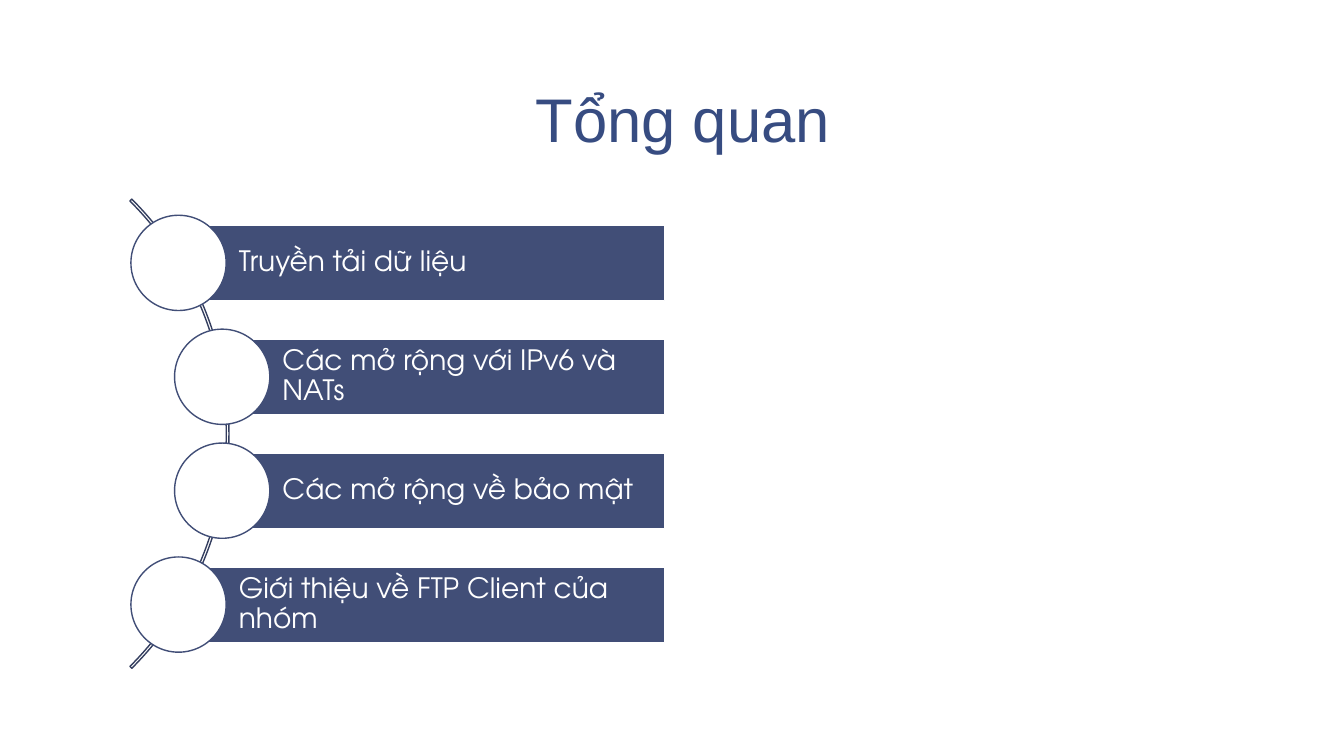
from dataclasses import dataclass

from pptx import Presentation
from pptx.dml.color import RGBColor
from pptx.enum.shapes import MSO_SHAPE
from pptx.enum.text import MSO_ANCHOR, MSO_AUTO_SIZE, PP_ALIGN
from pptx.shapes.autoshape import Shape
from pptx.slide import Slide
from pptx.util import Cm, Pt


@dataclass(frozen=True)
class Theme:
    white: RGBColor = RGBColor(0xFF, 0xFF, 0xFF)
    title: RGBColor = RGBColor(0x37, 0x4C, 0x81)
    bar: RGBColor = RGBColor(0x41, 0x4E, 0x77)
    arc: RGBColor = RGBColor(0x34, 0x3E, 0x5F)
    title_font: str = "Arial"
    topic_font: str = "TeX Gyre Adventor"
    title_size: Pt = Pt(44)
    topic_size: Pt = Pt(20)
    outline: Pt = Pt(1)


@dataclass(frozen=True)
class Topic:
    label: str
    center_x: float  # centimetres


THEME = Theme()
OUTER_X, INNER_X = 4.5, 5.6
TOPICS = [
    Topic("Truyền tải dữ liệu", OUTER_X),
    Topic("Các mở rộng với IPv6 và NATs", INNER_X),
    Topic("Các mở rộng về bảo mật", INNER_X),
    Topic("Giới thiệu về FTP Client của nhóm", OUTER_X),
]

# Diagram measures in centimetres
MIDDLE_Y, PITCH = 10.93, 2.87
BAR_RIGHT, BAR_HEIGHT = 16.75, 1.9
CIRCLE_SIZE = 2.4
ARC_LEFT, ARC_SIZE = -10.95, 16.72


def apply_format(target: object, values: dict[str, object]) -> None:
    for name, value in values.items():
        setattr(target, name, value)


def add_outlined(slide: Slide, kind: MSO_SHAPE, left: float, top: float,
                 width: float, height: float, line: RGBColor,
                 fill: RGBColor | None = None) -> Shape:
    shape = slide.shapes.add_shape(kind, Cm(left), Cm(top), Cm(width), Cm(height))
    shape.shadow.inherit = False
    if fill is None:
        shape.fill.background()
    else:
        shape.fill.solid()
        shape.fill.fore_color.rgb = fill
    shape.line.color.rgb = line
    shape.line.width = THEME.outline
    return shape


def write_text(shape: Shape, text: str, frame: dict[str, object],
               paragraph: dict[str, object], font: dict[str, object],
               color: RGBColor) -> None:
    apply_format(shape.text_frame, {"word_wrap": True,
                                    "auto_size": MSO_AUTO_SIZE.NONE, **frame})
    line = shape.text_frame.paragraphs[0]
    apply_format(line, paragraph)
    run = line.add_run()
    run.text = text
    apply_format(run.font, font)
    run.font.color.rgb = color


def add_title(slide: Slide, text: str) -> None:
    title = slide.shapes.title
    apply_format(title, {"left": Cm(3.1), "top": Cm(0.2),
                         "width": Cm(28.22), "height": Cm(3.89)})
    write_text(title, text,
               {"vertical_anchor": MSO_ANCHOR.BOTTOM,
                "margin_left": Cm(0.33), "margin_right": Cm(0.33),
                "margin_top": Cm(0.18), "margin_bottom": Cm(0.18)},
               {"alignment": PP_ALIGN.CENTER, "line_spacing": 0.85},
               {"name": THEME.title_font, "size": THEME.title_size}, THEME.title)


def add_arc(slide: Slide) -> None:
    arc = add_outlined(slide, MSO_SHAPE.BLOCK_ARC, ARC_LEFT, MIDDLE_Y - ARC_SIZE / 2,
                       ARC_SIZE, ARC_SIZE, THEME.arc)
    # Start angle, end angle and relative thickness
    for index, value in enumerate((189, 27, 0.004)):
        arc.adjustments[index] = value


def add_topic(slide: Slide, topic: Topic, center_y: float) -> None:
    bar = add_outlined(slide, MSO_SHAPE.RECTANGLE, topic.center_x,
                       center_y - BAR_HEIGHT / 2, BAR_RIGHT - topic.center_x,
                       BAR_HEIGHT, THEME.white, THEME.bar)
    write_text(bar, topic.label,
               {"vertical_anchor": MSO_ANCHOR.MIDDLE,
                "margin_left": Cm(1.52), "margin_right": Cm(0.15),
                "margin_top": Cm(0.15), "margin_bottom": Cm(0.15)},
               {"alignment": PP_ALIGN.LEFT, "line_spacing": 0.9},
               {"name": THEME.topic_font, "size": THEME.topic_size}, THEME.white)
    add_outlined(slide, MSO_SHAPE.OVAL, topic.center_x - CIRCLE_SIZE / 2,
                 center_y - CIRCLE_SIZE / 2, CIRCLE_SIZE, CIRCLE_SIZE,
                 THEME.bar, THEME.white)


# Slide and background
deck = Presentation()
apply_format(deck, {"slide_width": Cm(33.87), "slide_height": Cm(19.05)})
overview = deck.slides.add_slide(deck.slide_layouts.get_by_name("Title Only"))
overview.background.fill.solid()
overview.background.fill.fore_color.rgb = THEME.white

# Title
add_title(overview, "Tổng quan")

# Topics along the arc
add_arc(overview)
for position, topic in enumerate(TOPICS):
    add_topic(overview, topic, MIDDLE_Y + (position - (len(TOPICS) - 1) / 2) * PITCH)

deck.save("out.pptx")
